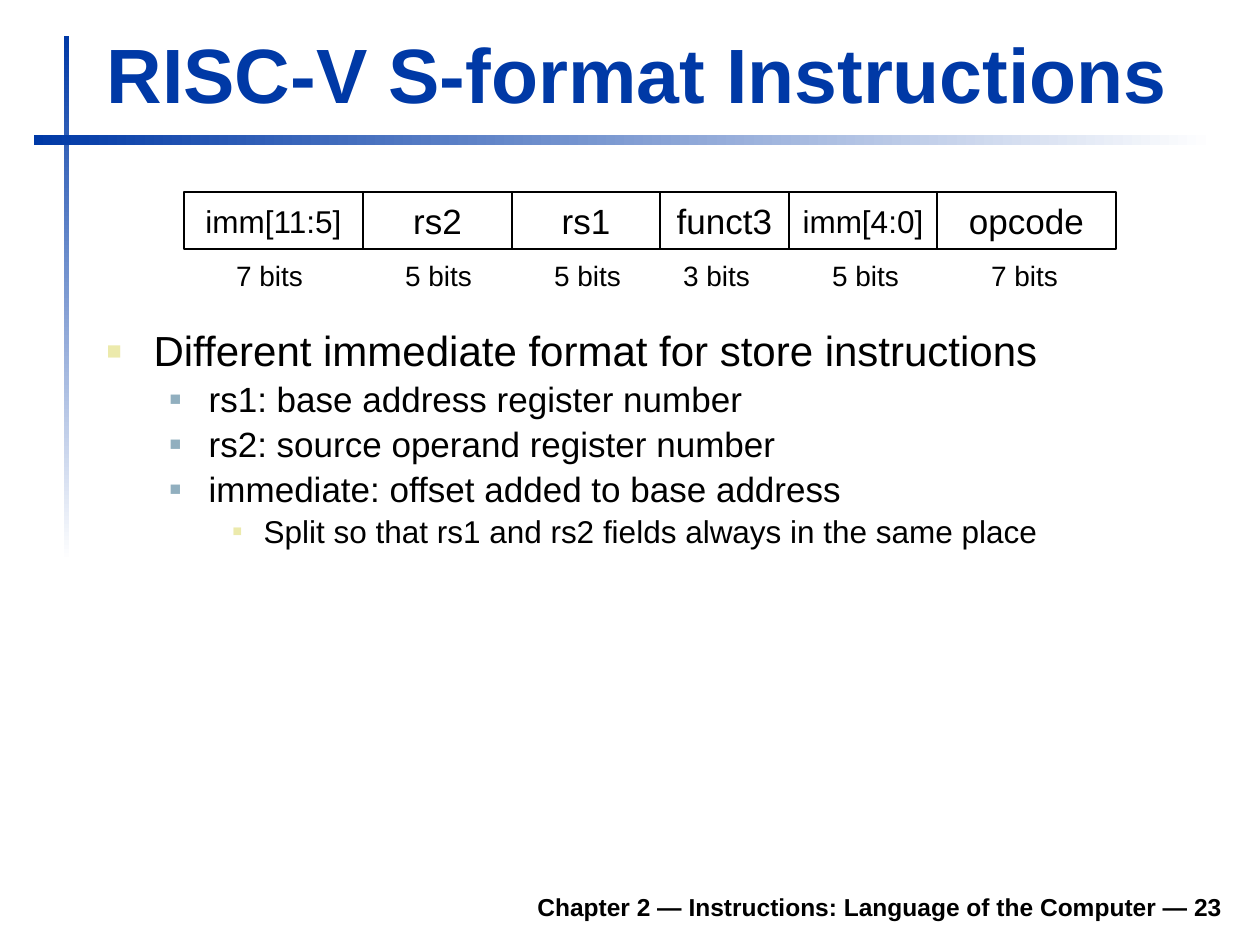
"""Build the slide on the RISC-V S-format instruction layout."""
from lxml import etree
from pptx import Presentation
from pptx import util as u
from pptx.dml.color import RGBColor
from pptx.enum import shapes, text
from pptx.oxml import ns

BLUE, BLACK, WHITE = "0039A6", "000000", "FFFFFF"
SAND, STEEL = "ECEAAC", "91AFBF"
RECT = shapes.MSO_SHAPE.RECTANGLE
ALIGN = text.PP_ALIGN


def px(*nums):
    return [u.Emu(round(n * 914400 / 126)) for n in nums]


def write(para, words, size, color=BLACK, bold=False, align=ALIGN.LEFT):
    para.alignment = align
    run = para.add_run()
    run.text = words
    font = run.font
    font.name, font.size, font.bold = "Arial", u.Pt(size), bold
    font.color.rgb = RGBColor.from_string(color)


prs = Presentation()
prs.slide_width, prs.slide_height = px(1260, 945)
slide = prs.slides.add_slide(prs.slide_layouts[1])
tree = slide.shapes

for box, angle in [((64, 36, 5, 525), 270), ((34, 135, 1181, 10), 0)]:
    bar = tree.add_shape(RECT, *px(*box))
    bar.shadow.inherit = False
    bar.line.fill.background()
    bar.fill.gradient()
    bar.fill.gradient_angle = angle
    for stop, color in zip(bar.fill.gradient_stops, (BLUE, WHITE)):
        stop.color.rgb = RGBColor.from_string(color)

title = tree.title
title.left, title.top, title.width, title.height = px(94, 20, 1138, 105)
frame = title.text_frame
frame.auto_size = text.MSO_AUTO_SIZE.NONE
frame.vertical_anchor = text.MSO_ANCHOR.BOTTOM
write(frame.paragraphs[0], "RISC-V S-format Instructions", 44, BLUE, True)

body = slide.placeholders[1]
body.left, body.top, body.width, body.height = px(94, 324, 1140, 535)
frame = body.text_frame
frame.auto_size = text.MSO_AUTO_SIZE.NONE
levels = [(24, 47, 47, SAND, 60), (20, 102, 39, STEEL, 55), (18, 157, 31, SAND, 50)]
points = [
    (0, "Different immediate format for store instructions"),
    (1, "rs1: base address register number"),
    (1, "rs2: source operand register number"),
    (1, "immediate: offset added to base address"),
    (2, "Split so that rs1 and rs2 fields always in the same place"),
]
for i, (level, words) in enumerate(points):
    size, left, hang, color, scale = levels[level]
    para = frame.add_paragraph() if i else frame.paragraphs[0]
    para.level = level
    para.line_spacing = 0.9
    para.space_before = u.Pt(size * 0.2)
    write(para, words, size)
    props = para._p.get_or_add_pPr()
    margin, indent = px(left, -hang)
    props.set("marL", str(margin))
    props.set("indent", str(indent))
    tint = etree.SubElement(props, ns.qn("a:buClr"))
    etree.SubElement(tint, ns.qn("a:srgbClr"), val=color)
    etree.SubElement(props, ns.qn("a:buSzPct"), val=str(scale * 1000))
    etree.SubElement(props, ns.qn("a:buFont"), typeface="Arial")
    etree.SubElement(props, ns.qn("a:buChar"), char="■")

fields = [
    ("imm[11:5]", 18, 179, "7 bits", 223),
    ("rs2", 20, 149, "5 bits", 392),
    ("rs1", 20, 148, "5 bits", 541),
    ("funct3", 20, 129, "3 bits", 670),
    ("imm[4:0]", 18, 148, "5 bits", 819),
    ("opcode", 20, 179, "7 bits", 978),
]
x = 184
for name, size, width, bits, left in fields:
    cell = tree.add_shape(RECT, *px(x, 192, width, 57))
    cell.shadow.inherit = False
    cell.fill.background()
    cell.line.color.rgb = RGBColor.from_string(BLACK)
    cell.line.width = u.Pt(1.5)
    frame = cell.text_frame
    frame.word_wrap = False
    frame.vertical_anchor = text.MSO_ANCHOR.MIDDLE
    write(frame.paragraphs[0], name, size, align=ALIGN.CENTER)
    label = tree.add_textbox(*px(left, 252, 93, 47))
    label.text_frame.word_wrap = False
    write(label.text_frame.paragraphs[0], bits, 16, align=ALIGN.CENTER)
    x += width

footer = tree.add_textbox(*px(233, 879, 1002, 49))
frame = footer.text_frame
frame.word_wrap = True
frame.vertical_anchor = text.MSO_ANCHOR.BOTTOM
write(frame.paragraphs[0], "Chapter 2 — Instructions: Language of the Computer — 23",
      14, bold=True, align=ALIGN.RIGHT)

prs.save("out.pptx")
